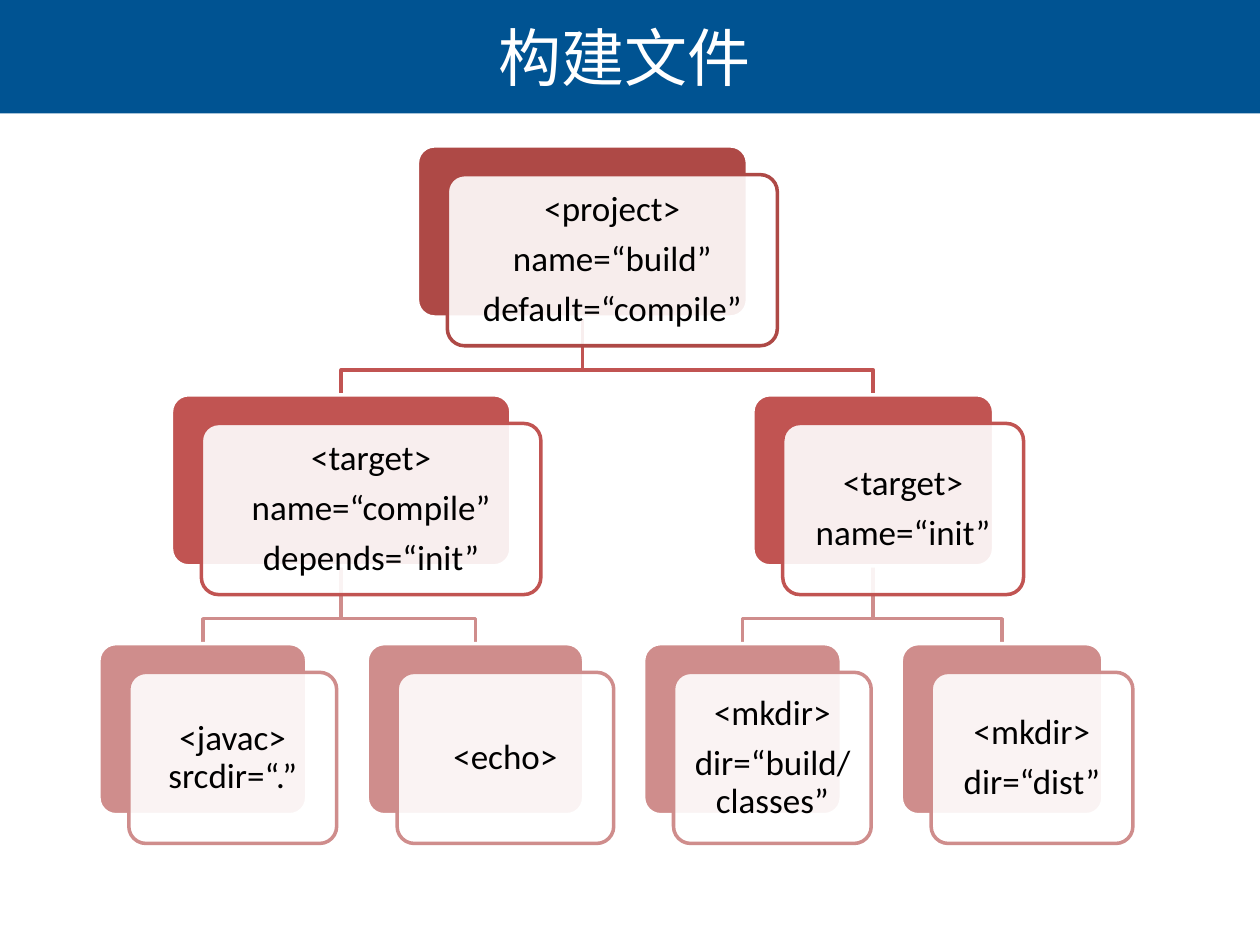
"""Builds a slide with the element tree of an Ant build file."""
from lxml import etree
from pptx import Presentation
from pptx.dml.color import RGBColor
from pptx.enum.shapes import MSO_SHAPE
from pptx.enum.text import MSO_ANCHOR, PP_ALIGN
from pptx.oxml.ns import qn
from pptx.util import Pt

RECTANGLE = MSO_SHAPE.RECTANGLE
ROUNDED = MSO_SHAPE.ROUNDED_RECTANGLE
MIDDLE = MSO_ANCHOR.MIDDLE
CENTER = PP_ALIGN.CENTER

COLORS = {
    "band": "005392",
    "white": "FFFFFF",
    "black": "000000",
    "level 0": "AE4946",
    "level 1": "C15452",
    "level 2": "CF8D8C",
}
FIRST_TOP, LEVEL_STEP, NODE_HEIGHT = 83.4, 142.2, 97.8
CARD_SHIFT_X, CARD_SHIFT_Y, BEND_GAP = 17.1, 16.4, 14.2

NODES = {
    "project": (None, 0, 238.5, 188.6, ["<project>", "name=“build”", "default=“compile”"]),
    "compile": ("project", 1, 98, 194, ["<target>", "name=“compile”", "depends=“init”"]),
    "javac": ("compile", 2, 56.5, 118.8, ["<javac> srcdir=“.”"]),
    "echo": ("compile", 2, 209.8, 123.8, ["<echo>"]),
    "init": ("project", 1, 430.2, 137.6, ["<target>", "name=“init”"]),
    "classes": ("init", 2, 367.8, 113, ["<mkdir>", "dir=“build/classes”"]),
    "dist": ("init", 2, 515, 115.3, ["<mkdir>", "dir=“dist”"]),
}


def color(name):
    return RGBColor.from_string(COLORS[name])


def add_box(kind, left, top, width, height, fill, line):
    box = page.shapes.add_shape(kind, Pt(left), Pt(top), Pt(width), Pt(height))
    box.shadow.inherit = False
    box.fill.solid()
    box.fill.fore_color.rgb = color(fill)
    box.line.color.rgb = color(line)
    box.line.width = Pt(2)
    if kind == ROUNDED:
        box.adjustments[0] = 0.1
    return box


deck = Presentation()
deck.slide_width, deck.slide_height = Pt(720), Pt(540)
page = deck.slides.add_slide(deck.slide_layouts[5])

title = page.shapes.title
band = add_box(RECTANGLE, 0, 0, 720, 64.8, "band", "band")
band.line.fill.background()
title.element.addprevious(band.element)
title.left, title.top, title.width, title.height = Pt(1.4), Pt(0), Pt(710.6), Pt(64.8)
title.text_frame.vertical_anchor = MIDDLE
para = title.text_frame.paragraphs[0]
para.alignment = CENTER
span = para.add_run()
span.text = "构建文件"
span.font.size = Pt(36)
span.font.color.rgb = color("white")
span.font.name = "Noto Sans CJK SC"
east_asian = etree.SubElement(span.font._element, qn("a:ea"))
east_asian.set("typeface", "Noto Sans CJK SC")

for parent, level, left, width, lines in NODES.values():
    if parent is None:
        continue
    top = FIRST_TOP + level * LEVEL_STEP
    start_x = NODES[parent][2] + NODES[parent][3] / 2
    start_y = top - LEVEL_STEP + NODE_HEIGHT
    end_x = left + width / 2
    bend_y = top - BEND_GAP
    builder = page.shapes.build_freeform(Pt(start_x), Pt(start_y))
    corners = [(start_x, bend_y), (end_x, bend_y), (end_x, top)]
    builder.add_line_segments([(Pt(x), Pt(y)) for x, y in corners], close=False)
    branch = builder.convert_to_shape()
    branch.shadow.inherit = False
    branch.fill.background()
    branch.line.color.rgb = color(f"level {level}")
    branch.line.width = Pt(2)

for parent, level, left, width, lines in NODES.values():
    top = FIRST_TOP + level * LEVEL_STEP
    shade = f"level {level}"
    add_box(ROUNDED, left, top, width, NODE_HEIGHT, shade, "white")
    card = add_box(ROUNDED, left + CARD_SHIFT_X, top + CARD_SHIFT_Y,
                   width, NODE_HEIGHT, "white", shade)
    card_fill = card.element.xpath("./p:spPr/a:solidFill/a:srgbClr")[0]
    etree.SubElement(card_fill, qn("a:alpha")).set("val", "90000")

    frame = card.text_frame
    frame.word_wrap = True
    frame.vertical_anchor = MIDDLE
    frame.margin_left = frame.margin_right = Pt(5.7)
    frame.margin_top = frame.margin_bottom = Pt(5.7)
    for index, line in enumerate(lines):
        para = frame.add_paragraph() if index else frame.paragraphs[0]
        para.text = line
        para.alignment = CENTER
        para.line_spacing = 0.9
        para.space_after = Pt(7)
        para.font.size = Pt(20)
        para.font.name = "Calibri"
        para.font.color.rgb = color("black")

deck.save("out.pptx")
